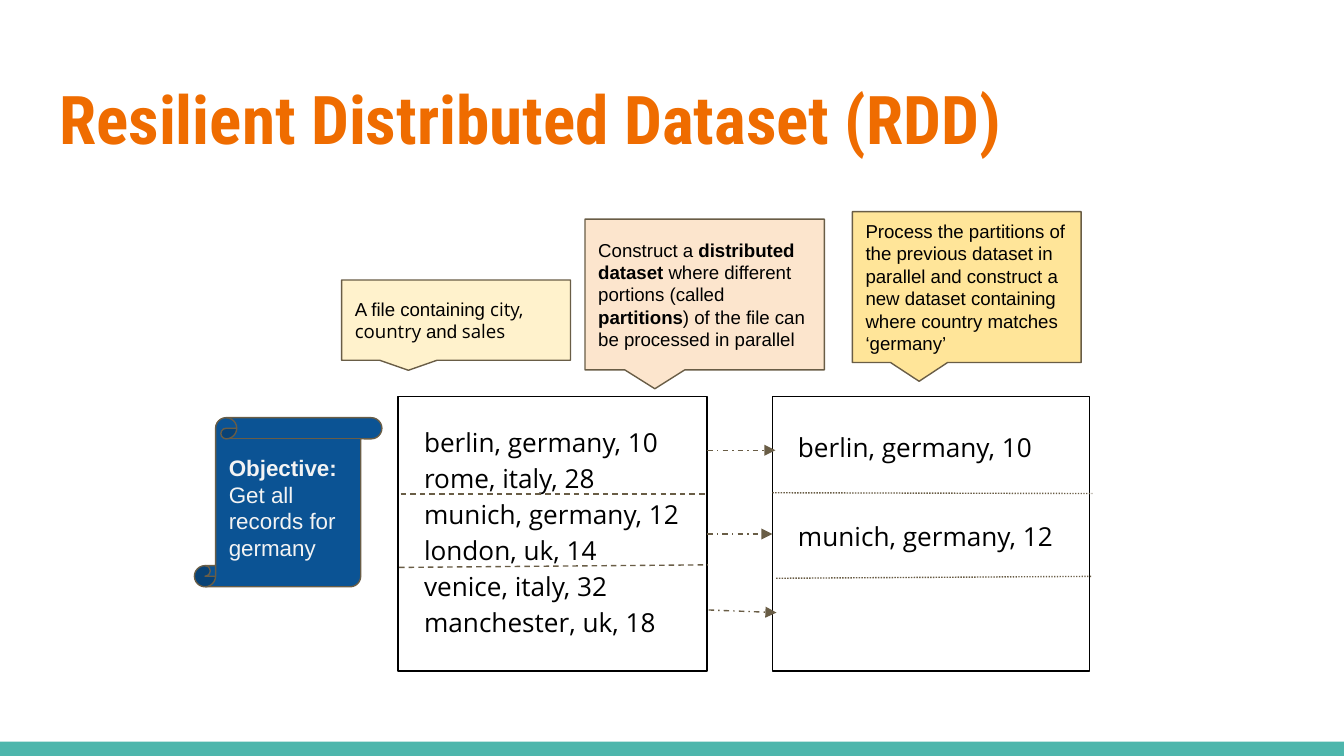
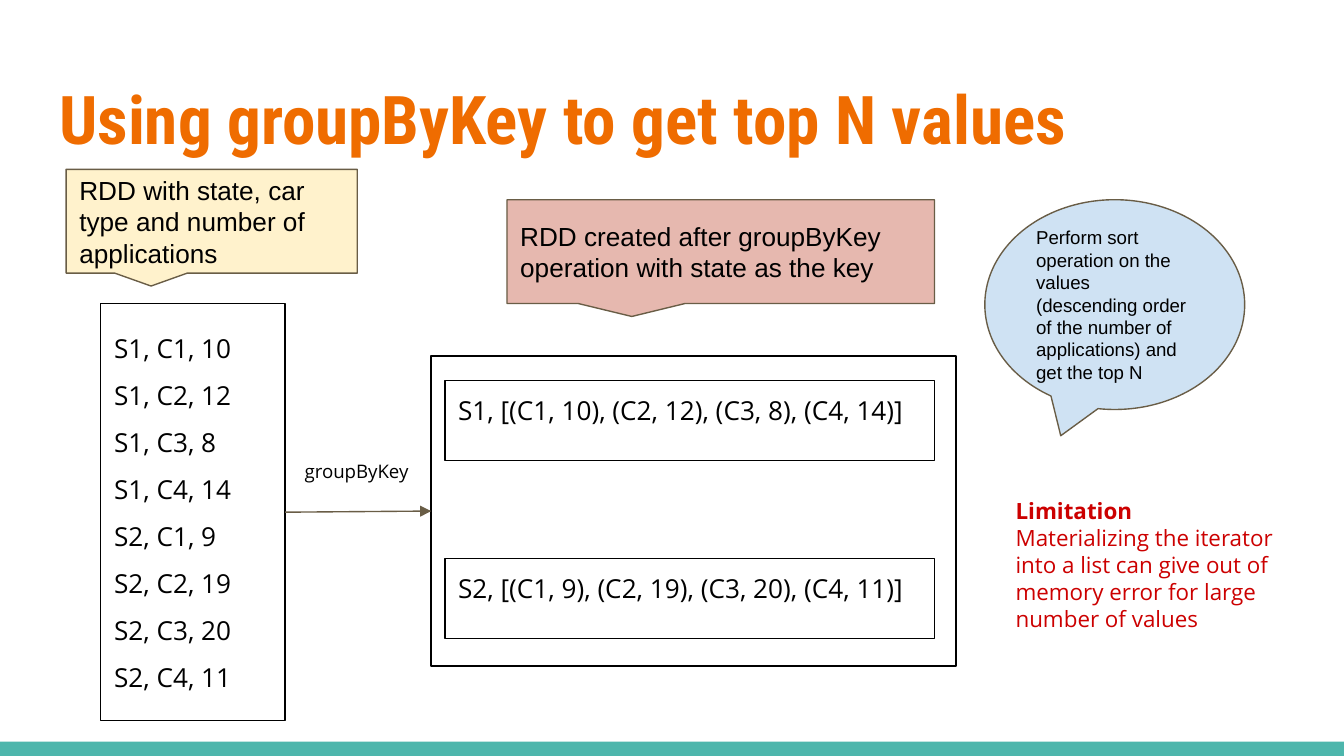
from pptx import Presentation
from pptx.dml.color import RGBColor
from pptx.enum.dml import MSO_LINE as Dash
from pptx.enum.shapes import MSO_CONNECTOR as Link, MSO_SHAPE as Kind
from pptx.enum.text import MSO_ANCHOR as Anchor, MSO_AUTO_SIZE as Fit, PP_ALIGN as Align
from pptx.oxml import parse_xml
from pptx.oxml.ns import nsdecls
from pptx.util import Pt

# Shared colours and fonts
WHITE = RGBColor(0xFF, 0xFF, 0xFF)
BLACK = RGBColor(0, 0, 0)
ORANGE = RGBColor(0xEF, 0x6C, 0x00)
TEAL = RGBColor(0x4D, 0xB6, 0xAC)
BROWN = RGBColor(0x69, 0x5D, 0x46)
CREAM = RGBColor(0xFF, 0xF2, 0xCC)
PEACH = RGBColor(0xFC, 0xE5, 0xCD)
YELLOW = RGBColor(0xFF, 0xE5, 0x99)
PINK = RGBColor(0xE6, 0xB8, 0xAF)
SKY = RGBColor(0xCF, 0xE2, 0xF3)
NAVY = RGBColor(0x0B, 0x53, 0x94)
PALE = RGBColor(0xF3, 0xF3, 0xF3)
RED = RGBColor(0xCC, 0, 0)

HEAD = "Roboto Condensed"
SANS = "Open Sans"
ARIAL = "Arial"

BOLD = {"bold": True}
TIP = (-0.208, 0.625)


def points(values):
    return [Pt(v) for v in values]


def write(shape, paras, size, name=SANS, color=BLACK, space=1.0, anchor=Anchor.TOP):
    """Fill a shape; a paragraph is a string or a list of (text, format) runs."""
    frame = shape.text_frame
    look = {"word_wrap": True, "auto_size": Fit.NONE, "vertical_anchor": anchor}
    look.update({f"margin_{side}": Pt(7.2) for side in ("left", "right", "top", "bottom")})
    for key, value in look.items():
        setattr(frame, key, value)
    for i, runs in enumerate(paras):
        para = frame.paragraphs[0] if i == 0 else frame.add_paragraph()
        para.alignment = Align.LEFT
        para.line_spacing = space
        for text, extra in [(runs, {})] if isinstance(runs, str) else runs:
            run = para.add_run()
            run.text = text
            run.font.color.rgb = color
            base = {"name": name, "size": Pt(size), "bold": False}
            for key, value in {**base, **extra}.items():
                setattr(run.font, key, value)


def draw(slide, kind, box, fill=None, line=None):
    shape = slide.shapes.add_shape(kind, *points(box))
    shape.shadow.inherit = False
    if fill is None:
        shape.fill.background()
    else:
        shape.fill.solid()
        shape.fill.fore_color.rgb = fill
    if line is None:
        shape.line.fill.background()
    else:
        shape.line.color.rgb = line
        shape.line.width = Pt(0.75)
    return shape


def frame(slide, box, paras=(), space=1.0):
    shape = draw(slide, Kind.RECTANGLE, box, line=BLACK)
    if paras:
        write(shape, paras, 14, space=space)
    return shape


def callout(slide, box, fill, runs, size, kind=Kind.RECTANGULAR_CALLOUT):
    shape = draw(slide, kind, box, fill, BROWN)
    for i, value in enumerate(TIP):
        shape.adjustments[i] = value
    write(shape, [runs], size, ARIAL, anchor=Anchor.MIDDLE)


def label(slide, box, paras, size, **look):
    write(slide.shapes.add_textbox(*points(box)), paras, size, **look)


def stroke(slide, start, end, dash=None, arrow=False):
    line = slide.shapes.add_connector(Link.STRAIGHT, *points(start + end))
    line.line.color.rgb = BROWN
    line.line.width = Pt(0.75)
    if dash is not None:
        line.line.dash_style = dash
    if arrow:
        tail = parse_xml(f'<a:tailEnd {nsdecls("a")} type="triangle"/>')
        line.line._get_or_add_ln().append(tail)
    line._element.spPr.append(parse_xml(f'<a:effectLst {nsdecls("a")}/>'))
    return line


def join(slide, left, right, dash=None):
    line = stroke(slide, (0, 0), (9, 9), dash, arrow=True)
    line.begin_connect(left, 3)
    line.end_connect(right, 1)


def start(deck, title):
    slide = deck.slides.add_slide(deck.slide_layouts[5])
    head = slide.shapes.title
    spot = zip(("left", "top", "width", "height"), (24.5, 35.3, 671, 55.4))
    for key, value in spot:
        setattr(head, key, Pt(value))
    write(head, [[(title, BOLD)]], 36, HEAD, ORANGE, anchor=Anchor.MIDDLE)
    return slide


def dress(deck, slide):
    """Move the footer band onto the layout that all slides share."""
    back = deck.slide_master.background.fill
    back.solid()
    back.fore_color.rgb = WHITE
    band = draw(slide, Kind.RECTANGLE, (0, 397.4, 720, 7.6), TEAL)
    slide.slide_layout.shapes._spTree.append(band._element)


def rdd(deck):
    slide = start(deck, "Resilient Distributed Dataset (RDD)")
    dress(deck, slide)

    # Source file and filtered dataset
    source = frame(slide, (213.2, 212.6, 165.7, 147))
    result = frame(slide, (413.8, 212.6, 170, 147))
    rows = ["berlin, germany, 10", "rome, italy, 28", "munich, germany, 12",
            "london, uk, 14", "venice, italy, 32", "manchester, uk, 18"]
    label(slide, (220.1, 218.9, 153.4, 135.4), rows, 14, space=1.15)

    # Partition borders
    for begin, end, dash in [
        ((214.6, 264.7), (379, 264.7), Dash.DASH),
        ((213.8, 304), (379.4, 302.6), Dash.DASH),
        ((413.8, 264), (585.2, 264.4), Dash.ROUND_DOT),
        ((415.8, 309.8), (585.2, 308.8), Dash.ROUND_DOT),
    ]:
        stroke(slide, begin, end, dash)

    # Flow from partition to partition
    stroke(slide, (379, 241.2), (415.4, 241.2), Dash.DASH_DOT, True)
    join(slide, source, result, Dash.DASH_DOT)
    stroke(slide, (379.6, 326.8), (416, 328.2), Dash.DASH_DOT, True)

    # Explanations
    sans = {"name": SANS}
    callout(slide, (183, 150, 122.6, 43), CREAM,
            [("A file containing ", {}), ("city, country ", sans),
             ("and", {}), (" sales", sans)], 10)
    callout(slide, (313.4, 117.4, 128.2, 80.8), PEACH,
            [("Construct a ", {}), ("distributed dataset ", BOLD),
             ("where different portions (called ", {}), ("partitions", BOLD),
             (") of the file can be processed in parallel", {})], 10)
    callout(slide, (456.6, 113.4, 122.6, 80.8), YELLOW,
            "Process the partitions of the previous dataset in parallel and construct "
            "a new dataset containing where country matches ‘germany’", 10)

    # Objective
    scroll = draw(slide, Kind.VERTICAL_SCROLL, (104.2, 223.8, 100.4, 90.6), NAVY, BROWN)
    write(scroll, [[("Objective:", BOLD)], "Get all records for germany"],
          12, ARIAL, PALE, anchor=Anchor.MIDDLE)

    # Matching rows
    label(slide, (420.4, 221.4, 140.4, 36), [rows[0]], 14, space=1.15)
    label(slide, (420.4, 269, 154, 32.4), [rows[2]], 14, space=1.15)


def group(deck):
    slide = start(deck, "Using groupByKey to get top N values")

    # Rows before and after grouping
    outer = frame(slide, (231, 190.8, 281.2, 166))
    rows = ["S1, C1, 10", "S1, C2, 12", "S1, C3, 8", "S1, C4, 14",
            "S2, C1, 9", "S2, C2, 19", "S2, C3, 20", "S2, C4, 11"]
    pairs = frame(slide, (54, 162.6, 98.8, 223.6), rows, 1.5)
    for top, text in [(203.8, "S1, [(C1, 10), (C2, 12), (C3, 8), (C4, 14)]"),
                      (299.2, "S2, [(C1, 9), (C2, 19), (C3, 20), (C4, 11)]")]:
        frame(slide, (238.3, top, 262.4, 43), [text])
    join(slide, pairs, outer)
    label(slide, (156.2, 239, 72, 25.2), ["groupByKey"], 10)

    # Explanations
    callout(slide, (35.4, 90.7, 156, 55.6), CREAM,
            "RDD with state, car type and number of applications", 14)
    callout(slide, (271.6, 107, 229, 55.6), PINK,
            "RDD created after groupByKey operation with state as the key", 14)
    callout(slide, (527.6, 107, 139.2, 112.4), SKY,
            "Perform sort operation on the values (descending order of the number "
            "of applications) and get the top N", 10, Kind.OVAL_CALLOUT)
    label(slide, (537, 259.2, 158.4, 108.7),
          [[("Limitation", BOLD)],
           "Materializing the iterator into a list can give out of memory error "
           "for large number of values"], 12, color=RED)


def main():
    deck = Presentation()
    deck.slide_width, deck.slide_height = points((720, 405))
    rdd(deck)
    group(deck)
    deck.save("out.pptx")


if __name__ == "__main__":
    main()
